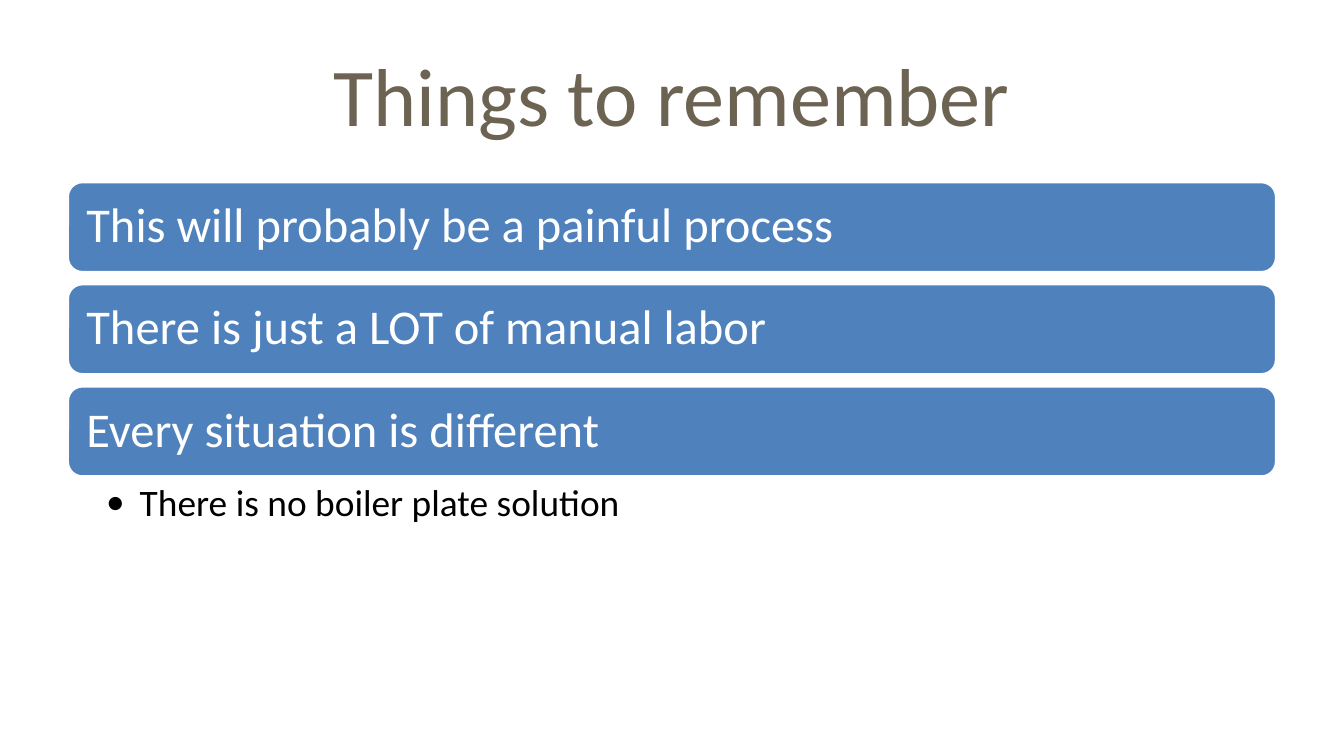
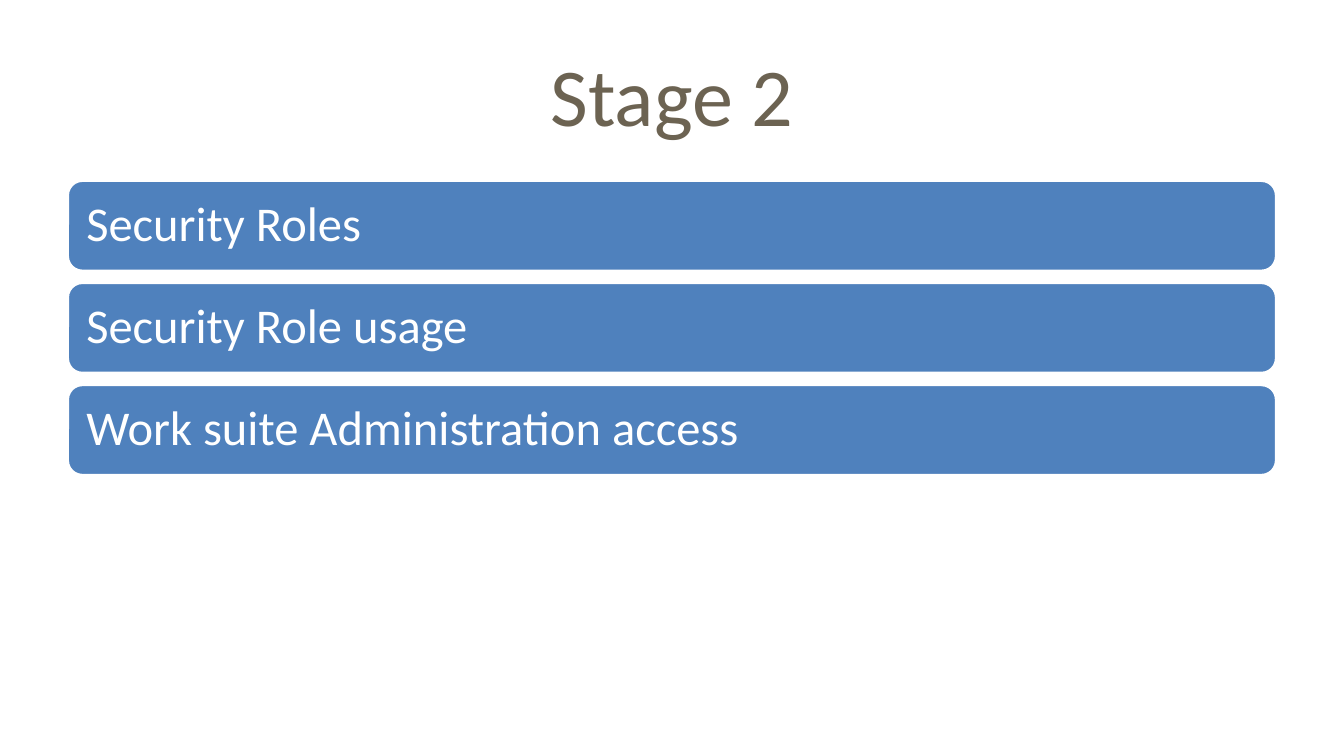
from pptx import Presentation
from pptx.util import Inches, Pt
from pptx.dml.color import RGBColor
from pptx.enum.shapes import MSO_SHAPE
from pptx.enum.text import MSO_ANCHOR, PP_ALIGN
from lxml import etree

ROUND = MSO_SHAPE.ROUNDED_RECTANGLE
MIDDLE = MSO_ANCHOR.MIDDLE
CENTER, LEFT = PP_ALIGN.CENTER, PP_ALIGN.LEFT
BROWN, BLUE, WHITE, BLACK = "6C6352", "4F81BD", "FFFFFF", "000000"
FONT = "Calibri"
EDGE, WIDE = 0.5, 9
BAR, STEP = 0.68, 0.76


def paint(target, color):
    """Set a solid colour on a fill or a font."""
    if hasattr(target, "solid"):
        target.solid()
        target.fore_color.rgb = RGBColor.from_string(color)
    else:
        target.color.rgb = RGBColor.from_string(color)


def write(frame, text, size, color, align, inset):
    """Fill a text frame with one styled paragraph."""
    frame.word_wrap = True
    frame.margin_left, frame.margin_top, frame.margin_right, frame.margin_bottom = (
        Inches(gap) for gap in inset)
    par = frame.paragraphs[0]
    par.text = text
    par.alignment = align
    par.font.name = FONT
    par.font.size = Pt(size)
    paint(par.font, color)
    return par


# Title, top of the first bar, bar texts, bullet below the bars
pages = [
    ("Things to remember", 1.35,
     ["This will probably be a painful process",
      "There is just a LOT of manual labor",
      "Every situation is different"],
     "There is no boiler plate solution"),
    ("Stage 2", 1.34,
     ["Security Roles", "Security Role usage",
      "Work suite Administration access"],
     None),
]

# Widescreen page, 16 to 9
prs = Presentation()
prs.slide_width = Inches(10)
prs.slide_height = prs.slide_width * 9 // 16

for head, top, bars, note in pages:
    slide = prs.slides.add_slide(prs.slide_layouts[5])
    paint(slide.background.fill, WHITE)

    # Title
    title = slide.shapes.title
    title.left, title.top = Inches(EDGE), Inches(0.23)
    title.width, title.height = Inches(WIDE), Inches(0.94)
    title.text_frame.vertical_anchor = MIDDLE
    write(title.text_frame, head, 44, BROWN, CENTER, (0.1, 0.05, 0.1, 0.05))

    # Stack of bars
    for row, text in enumerate(bars):
        bar = slide.shapes.add_shape(ROUND, Inches(EDGE), Inches(top + row * STEP),
                                     Inches(WIDE), Inches(BAR))
        bar.shadow.inherit = False
        paint(bar.fill, BLUE)
        paint(bar.line.fill, WHITE)
        bar.line.width = Pt(2)
        bar.text_frame.vertical_anchor = MIDDLE
        par = write(bar.text_frame, text, 26, WHITE, LEFT, (0.11,) * 4)
        par.line_spacing = 0.9

    # Bullet under the last bar
    if note:
        box = slide.shapes.add_textbox(Inches(EDGE), Inches(top + len(bars) * STEP - 0.07),
                                       Inches(WIDE), Inches(0.47))
        props = box.text_frame.paragraphs[0]._p.get_or_add_pPr()
        props.set("marL", str(Inches(0.25)))
        props.set("indent", str(-Inches(0.25)))
        space = props.nsmap["a"]
        etree.SubElement(props, f"{{{space}}}buFont", typeface=FONT)
        etree.SubElement(props, f"{{{space}}}buChar", char="•")
        par = write(box.text_frame, note, 20, BLACK, LEFT, (0.29, 0.04, 0.2, 0.04))
        par.line_spacing = 0.9

prs.save("out.pptx")
